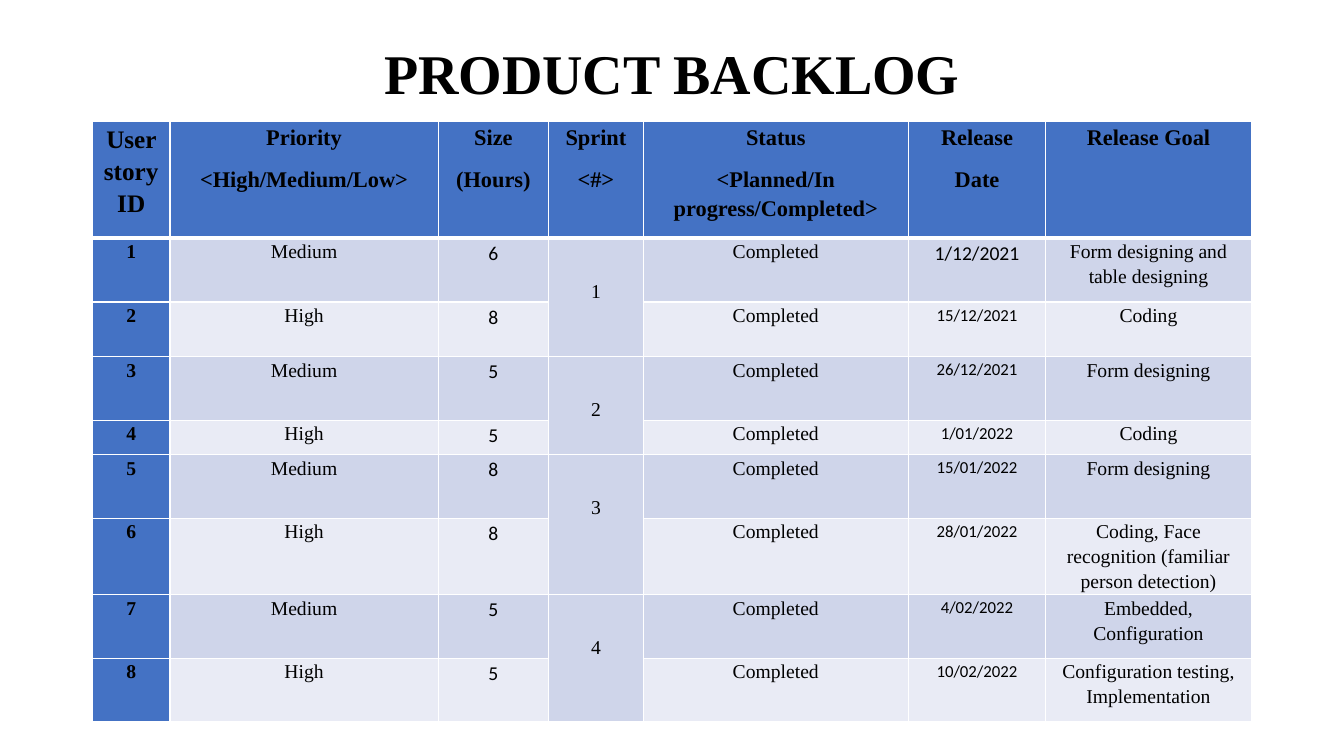
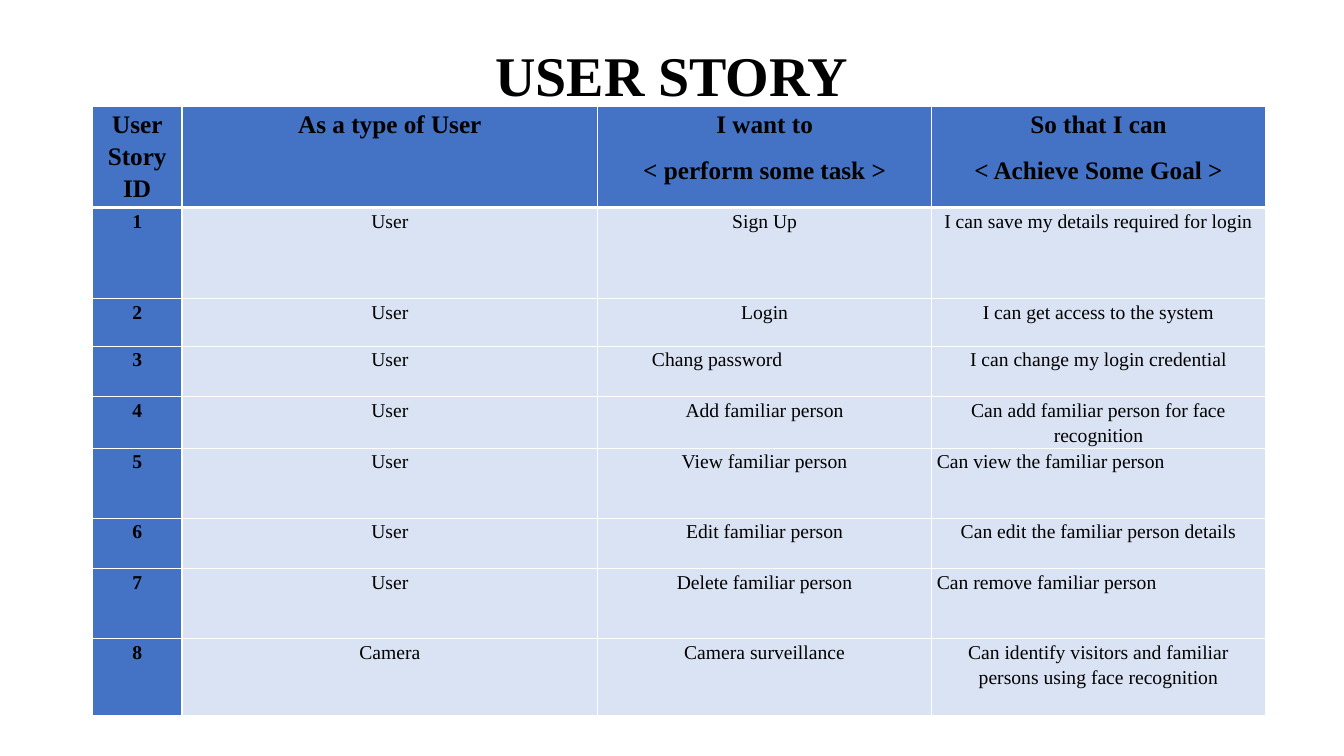
from lxml import etree
from pptx import Presentation
from pptx.dml.color import RGBColor
from pptx.enum.text import MSO_ANCHOR, MSO_AUTO_SIZE, PP_ALIGN
from pptx.oxml.ns import qn
from pptx.util import Pt

CENTER, LEFT = PP_ALIGN.CENTER, PP_ALIGN.LEFT
MIDDLE = MSO_ANCHOR.MIDDLE
NO_FIT = MSO_AUTO_SIZE.NONE

BLACK = RGBColor(0x00, 0x00, 0x00)
WHITE = RGBColor(0xFF, 0xFF, 0xFF)
BLUE = RGBColor(0x44, 0x72, 0xC4)
BAND_DARK = RGBColor(0xCF, 0xD5, 0xEA)
BAND_LIGHT = RGBColor(0xE9, 0xEB, 0xF5)
PALE_BLUE = RGBColor(0xDA, 0xE3, 0xF3)

SERIF, SANS = "Times New Roman", "Calibri"
MARGIN, CONTENT_WIDTH, TITLE_TOP = 66, 828, 28.8
TITLE_ONLY = 5

BACKLOG_HEADINGS = [
    "User story ID", "Priority\n<High/Medium/Low>", "Size\n(Hours)", "Sprint\n<#>",
    "Status\n<Planned/In progress/Completed>", "Release\nDate", "Release Goal",
]
BACKLOG = [
    ("Medium", "6", "1/12/2021", "Form designing and table designing"),
    ("High", "8", "15/12/2021", "Coding"),
    ("Medium", "5", "26/12/2021", "Form designing"),
    ("High", "5", "1/01/2022", "Coding"),
    ("Medium", "8", "15/01/2022", "Form designing"),
    ("High", "8", "28/01/2022", "Coding, Face recognition (familiar person detection)"),
    ("Medium", "5", "4/02/2022", "Embedded, Configuration"),
    ("High", "5", "10/02/2022", "Configuration testing, Implementation"),
]
BACKLOG_WIDTHS = [55.5, 191.5, 79, 67.5, 189.5, 98, 147]
BACKLOG_HEIGHTS = [83.5, 45.5, 39, 45.5, 24.5, 45.5, 54.5, 45.5, 45.5]
SIZE_COLUMN, SPRINT_COLUMN, DATE_COLUMN = 2, 3, 5
STORIES_PER_SPRINT = 2
SPRINT_DROP = 28

STORY_HEADINGS = [
    "User Story ID", "As a type of User", "I want to\n< perform some task >",
    "So that I can\n< Achieve Some Goal >",
]
STORIES = [
    ("User", "Sign Up", "I can save my details required for login"),
    ("User", "Login", "I can get access to the system"),
    ("User", "Chang password", "I can change my login credential"),
    ("User", "Add familiar person", "Can add familiar person for face recognition"),
    ("User", "View familiar person", "Can view the familiar person"),
    ("User", "Edit familiar person", "Can edit the familiar person details"),
    ("User", "Delete familiar person", "Can remove familiar person"),
    ("Camera", "Camera surveillance",
     "Can identify visitors and familiar persons using face recognition"),
]
STORY_WIDTHS = [64, 297, 238.5, 238.5]
STORY_HEIGHTS = [72, 65, 34, 36, 37, 50, 36, 50, 55]
STORY_INDENTS = {(3, 2): 35, (5, 3): 0, (7, 3): 0}


def write(frame, text, *, size=14, bold=False, font=SERIF, align=CENTER,
          spacing=1.15, after=10):
    """Fill a text frame, one paragraph per line of text."""
    for index, line in enumerate(text.split("\n")):
        paragraph = frame.paragraphs[0] if index == 0 else frame.add_paragraph()
        paragraph.alignment = align
        paragraph.line_spacing = spacing
        paragraph.space_after = Pt(after)
        run = paragraph.add_run()
        run.text = line
        run.font.name = font
        run.font.size = Pt(size)
        run.font.bold = bold
        run.font.color.rgb = BLACK


def add_titled_slide(deck, title, height):
    """Add a title-only slide with the shared title style."""
    slide = deck.slides.add_slide(deck.slide_layouts[TITLE_ONLY])
    heading = slide.shapes.title
    heading.left, heading.top = Pt(MARGIN), Pt(TITLE_TOP)
    heading.width, heading.height = Pt(CONTENT_WIDTH), Pt(height)
    frame = heading.text_frame
    frame.word_wrap = True
    frame.auto_size = NO_FIT
    frame.vertical_anchor = MIDDLE
    write(frame, title, size=40, bold=True, spacing=0.9, after=0)
    return slide


def set_borders(cell, top, bottom):
    """Draw white cell borders, with the given top and bottom widths."""
    properties = cell._tc.get_or_add_tcPr()
    for side, width in (("L", 1), ("R", 1), ("T", top), ("B", bottom)):
        line = etree.SubElement(properties, qn(f"a:ln{side}"), w=str(Pt(width)))
        fill = etree.SubElement(line, qn("a:solidFill"))
        etree.SubElement(fill, qn("a:srgbClr"), val=str(WHITE))


def add_grid(slide, top, widths, heights, inset, bands):
    """Add an empty table with blue headings, blue first column and row bands."""
    table = slide.shapes.add_table(
        len(heights), len(widths), Pt(MARGIN), Pt(top), Pt(sum(widths)), Pt(sum(heights))
    ).table
    table.horz_banding = False
    for column, width in zip(table.columns, widths):
        column.width = Pt(width)
    for row, height in enumerate(heights):
        table.rows[row].height = Pt(height)
        for column in range(len(widths)):
            cell = table.cell(row, column)
            cell.margin_left = cell.margin_right = Pt(inset)
            cell.margin_top = cell.margin_bottom = 0
            set_borders(cell, 3 if row == 1 else 1, 3 if row == 0 else 1)
            cell.fill.solid()
            is_heading = row == 0 or column == 0
            cell.fill.fore_color.rgb = BLUE if is_heading else bands[(row - 1) % len(bands)]
    return table


def write_headings(table, headings, size):
    """Write the heading row and the numbers in the first column."""
    for column, heading in enumerate(headings):
        write(table.cell(0, column).text_frame, heading,
              size=size if column else 18, bold=True)
    for number in range(1, len(table.rows)):
        write(table.cell(number, 0).text_frame, str(number), bold=True)


def merge_sprints(table):
    """Join the sprint cells of each pair of stories and number them."""
    for sprint in range(len(BACKLOG) // STORIES_PER_SPRINT):
        first = sprint * STORIES_PER_SPRINT + 1
        last = first + STORIES_PER_SPRINT - 1
        cell = table.cell(first, SPRINT_COLUMN)
        cell.merge(table.cell(last, SPRINT_COLUMN))
        cell.margin_top = Pt(SPRINT_DROP)
        write(cell.text_frame, str(sprint + 1))


def add_backlog_slide(deck):
    """Build the product backlog slide."""
    slide = add_titled_slide(deck, "PRODUCT BACKLOG", 51)
    table = add_grid(slide, 86.75, BACKLOG_WIDTHS, BACKLOG_HEIGHTS, 5,
                     (BAND_DARK, BAND_LIGHT))
    write_headings(table, BACKLOG_HEADINGS, 16)
    merge_sprints(table)
    for row, (priority, hours, date, goal) in enumerate(BACKLOG, start=1):
        for column, text in ((1, priority), (4, "Completed"), (6, goal)):
            write(table.cell(row, column).text_frame, text)
        write(table.cell(row, SIZE_COLUMN).text_frame, hours, font=SANS, after=0)
        write(table.cell(row, DATE_COLUMN).text_frame, date,
              size=14 if row == 1 else 12, font=SANS, after=0)


def add_story_slide(deck):
    """Build the user story slide."""
    slide = add_titled_slide(deck, "USER STORY", 55)
    table = add_grid(slide, 76.25, STORY_WIDTHS, STORY_HEIGHTS, 3.75, (PALE_BLUE,))
    write_headings(table, STORY_HEADINGS, 18)
    for row, story in enumerate(STORIES, start=1):
        for column, text in enumerate(story, start=1):
            cell = table.cell(row, column)
            indent = STORY_INDENTS.get((row, column))
            cell.margin_left += Pt(indent or 0)
            write(cell.text_frame, text, align=CENTER if indent is None else LEFT)


def main():
    """Build and save the presentation."""
    deck = Presentation()
    deck.slide_width, deck.slide_height = Pt(960), Pt(540)
    add_backlog_slide(deck)
    add_story_slide(deck)
    deck.save("out.pptx")


if __name__ == "__main__":
    main()
